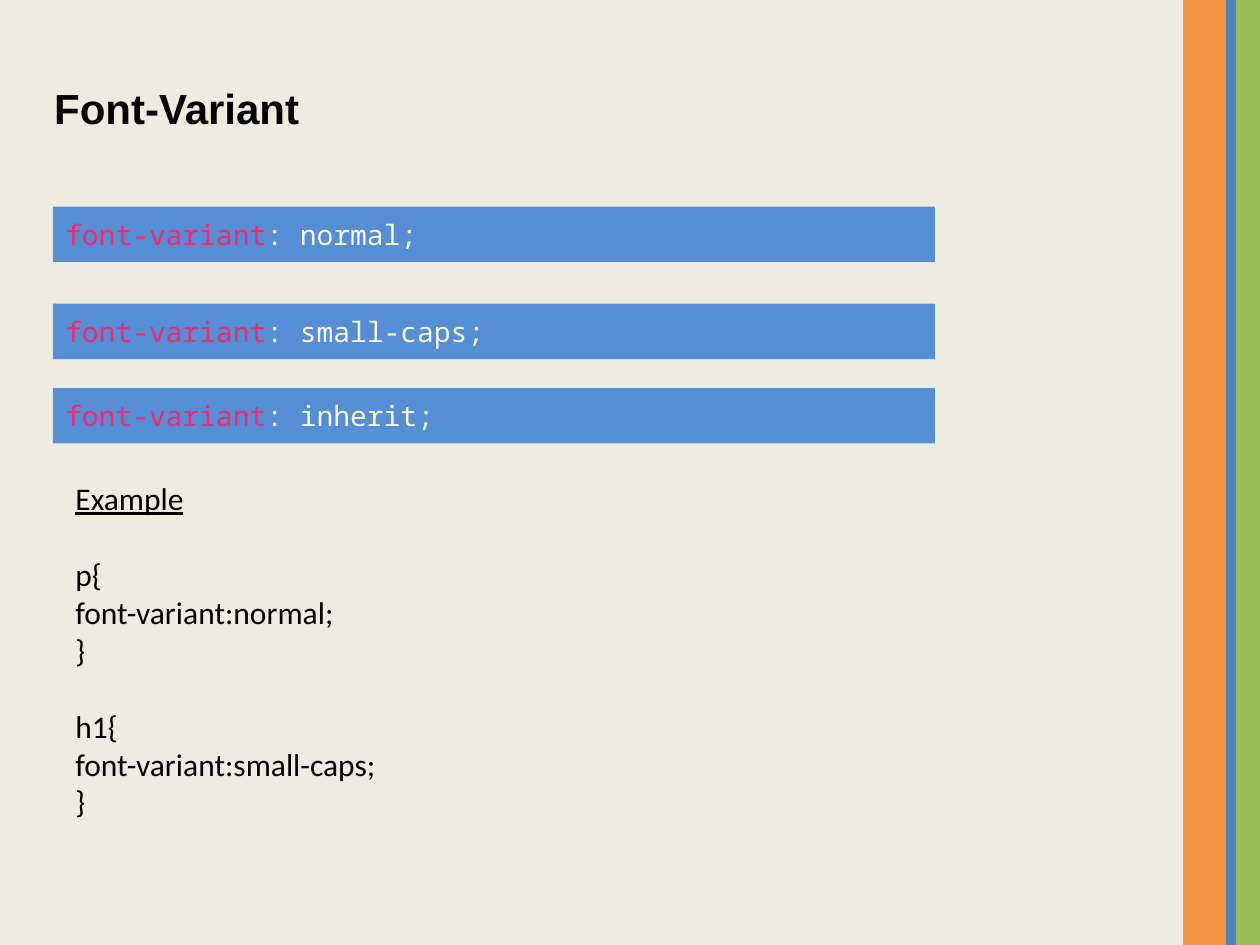
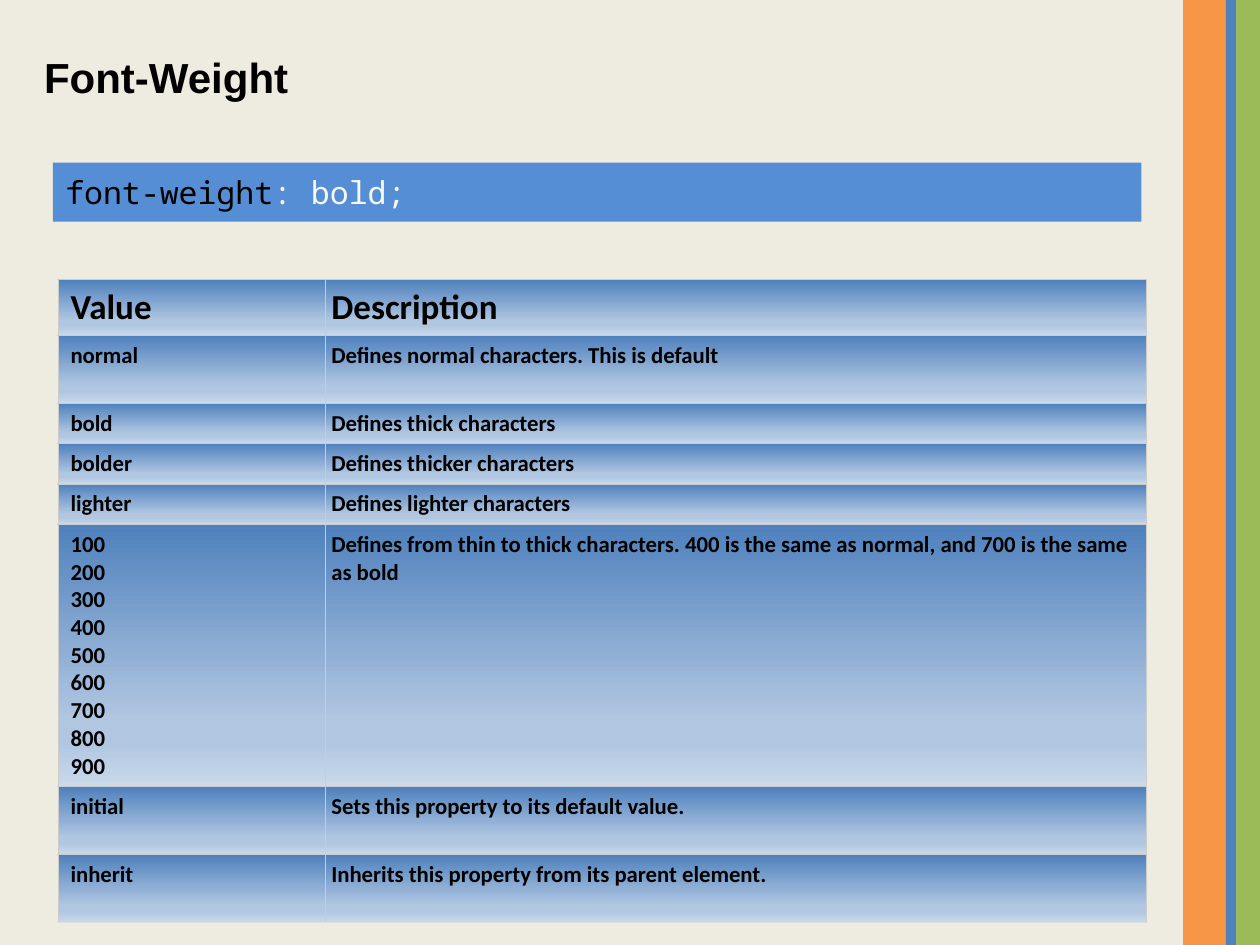
import pptx
import pptx.dml.color
import pptx.enum.shapes
import pptx.enum.text
import pptx.oxml
import pptx.oxml.ns
import pptx.util

COLORS = {
    "paper": "EEECE1", "orange": "F79646", "blue": "4F81BD", "green": "9BBB59",
    "code_bar": "558ED5", "ink": "000000", "pink": "F92672", "code_white": "F8F8F2",
    "pale": "B0C6E1", "palest": "CAD9EB", "rule": "CCCCCC", "last_rule": "DDDDDD",
}

deck = pptx.Presentation()
deck.slide_width = pptx.util.Inches(10)
deck.slide_height = pptx.util.Inches(7.5)
# Grid of 100 columns by 75 rows, square cells
UNIT = deck.slide_width // 100


def grid(*cells):
    return [round(cell * UNIT) for cell in cells]


def style(run, size, face, color, bold=False):
    run.font.size = pptx.util.Pt(size)
    run.font.name = face
    run.font.bold = bold
    run.font.color.rgb = pptx.dml.color.RGBColor.from_string(COLORS[color])


# Shared background and side bands live on the title-only layout
layout = deck.slide_layouts[5]
layout.background.fill.solid()
layout.background.fill.fore_color.rgb = pptx.dml.color.RGBColor.from_string(COLORS["paper"])
variant = deck.slides.add_slide(layout)
weight = deck.slides.add_slide(layout)
for left, width, color in [(93.9, 3.5, "orange"), (98.1, 1.9, "green"), (97.3, 0.8, "blue")]:
    band = variant.shapes.add_shape(
        pptx.enum.shapes.MSO_SHAPE.RECTANGLE, *grid(left, 0, width, 75))
    band.shadow.inherit = False
    band.fill.solid()
    band.fill.fore_color.rgb = pptx.dml.color.RGBColor.from_string(COLORS[color])
    band.line.fill.background()
    layout.shapes.element.append(band.element)

# Titles
for slide, words, left, top in [(variant, "Font-Variant", 3.3, 5.8),
                                (weight, "Font-Weight", 2.5, 3.3)]:
    title = slide.shapes.title
    title.left, title.top, title.width, title.height = grid(left, top, 50, 5.1)
    title.text_frame.text = words
    title.text_frame.auto_size = pptx.enum.text.MSO_AUTO_SIZE.NONE
    title.text_frame.vertical_anchor = pptx.enum.text.MSO_ANCHOR.TOP
    heading = title.text_frame.paragraphs[0]
    heading.alignment = pptx.enum.text.PP_ALIGN.LEFT
    heading.line_spacing = 1.07
    heading.space_before = heading.space_after = pptx.util.Pt(3.8)
    style(heading.runs[0], 24, "Arial", "ink", bold=True)

# Code bars: slide, top, width, height, property, value, size, property colour
code_bars = [
    (variant, 16.4, 70, 4.4, "font-variant", ": normal;", 16, "pink"),
    (variant, 24.1, 70, 4.4, "font-variant", ": small-caps;", 16, "pink"),
    (variant, 30.8, 70, 4.4, "font-variant", ": inherit;", 16, "pink"),
    (weight, 12.9, 86.4, 4.7, "font-weight", ": bold;", 18, "ink"),
]
for slide, top, width, height, prop, value, size, prop_color in code_bars:
    bar = slide.shapes.add_shape(
        pptx.enum.shapes.MSO_SHAPE.RECTANGLE, *grid(4.2, top, width, height))
    bar.shadow.inherit = False
    bar.fill.solid()
    bar.fill.fore_color.rgb = pptx.dml.color.RGBColor.from_string(COLORS["code_bar"])
    bar.line.fill.background()
    bar.text_frame.margin_top, bar.text_frame.margin_bottom = grid(0.8, 0.8)
    bar.text_frame.vertical_anchor = pptx.enum.text.MSO_ANCHOR.MIDDLE
    code = bar.text_frame.paragraphs[0]
    code.alignment = pptx.enum.text.PP_ALIGN.LEFT
    for part, color in [(prop, prop_color), (value, "code_white")]:
        run = code.add_run()
        run.text = part
        style(run, size, "Noto Sans Mono", color)

# Example rules, with a one-line gap above each selector
example = variant.shapes.add_textbox(*grid(5, 37.5, 64.2, 31.3)).text_frame
example.word_wrap = True
example.text = "\n".join(["Example", "p{", "font-variant:normal;", "}",
                          "h1{", "font-variant:small-caps;", "}"])
for line in example.paragraphs:
    style(line.runs[0], 18, "Calibri", "ink")
    if line.text.endswith("{"):
        line.space_before = pptx.util.Pt(22)
example.paragraphs[0].runs[0].font.underline = True

# Table of font-weight values: value, description, row height
weight_rows = [
    ("Value", "Description", 4.3),
    ("normal", "Defines normal characters. This is default", 5.4),
    ("bold", "Defines thick characters", 3.2),
    ("bolder", "Defines thicker characters", 3.2),
    ("lighter", "Defines lighter characters", 3.2),
    ("\n".join(str(step) for step in range(100, 1000, 100)),
     "Defines from thin to thick characters. 400 is the same as normal, "
     "and 700 is the same as bold", 20.7),
    ("initial", "Sets this property to its default value.", 5.4),
    ("inherit", "Inherits this property from its parent element.", 5.4),
]
values = weight.shapes.add_table(len(weight_rows), 2, *grid(4.6, 22.2, 86.4, 50.6)).table
values.horz_banding = False
values.columns[0].width, values.columns[1].width = grid(21.2, 65.2)

NS = pptx.oxml.ns.nsdecls("a")
stops = "".join(
    f'<a:gs pos="{share * 1000}"><a:srgbClr val="{COLORS[color]}"/></a:gs>'
    for share, color in [(0, "blue"), (74, "pale"), (83, "pale"), (100, "palest")])
gradient = f'<a:gradFill {NS}><a:gsLst>{stops}</a:gsLst><a:lin ang="5400000" scaled="0"/></a:gradFill>'

for row, (value, description, height) in enumerate(weight_rows):
    values.rows[row].height = grid(height)[0]
    for column, words in enumerate([value, description]):
        cell = values.cell(row, column)
        cell.text_frame.text = words
        cell.margin_left, cell.margin_right, cell.margin_top, cell.margin_bottom = grid(
            0.5 if column else 1, 0.5, 0.5, 0.5)
        for line in cell.text_frame.paragraphs:
            style(line.runs[0], 13 if row else 20, "Calibri", "ink", bold=True)
        # Cell borders come before the fill
        cell_format = cell._tc.get_or_add_tcPr()
        for side in "LRTB":
            is_foot = side == "B" and row == len(weight_rows) - 1
            rule = COLORS["last_rule" if is_foot else "rule"]
            cell_format.append(pptx.oxml.parse_xml(
                f'<a:ln{side} {NS} w="{pptx.util.Pt(0.6)}"><a:solidFill>'
                f'<a:srgbClr val="{rule}"/></a:solidFill></a:ln{side}>'))
        cell_format.append(pptx.oxml.parse_xml(gradient))

deck.save("out.pptx")
